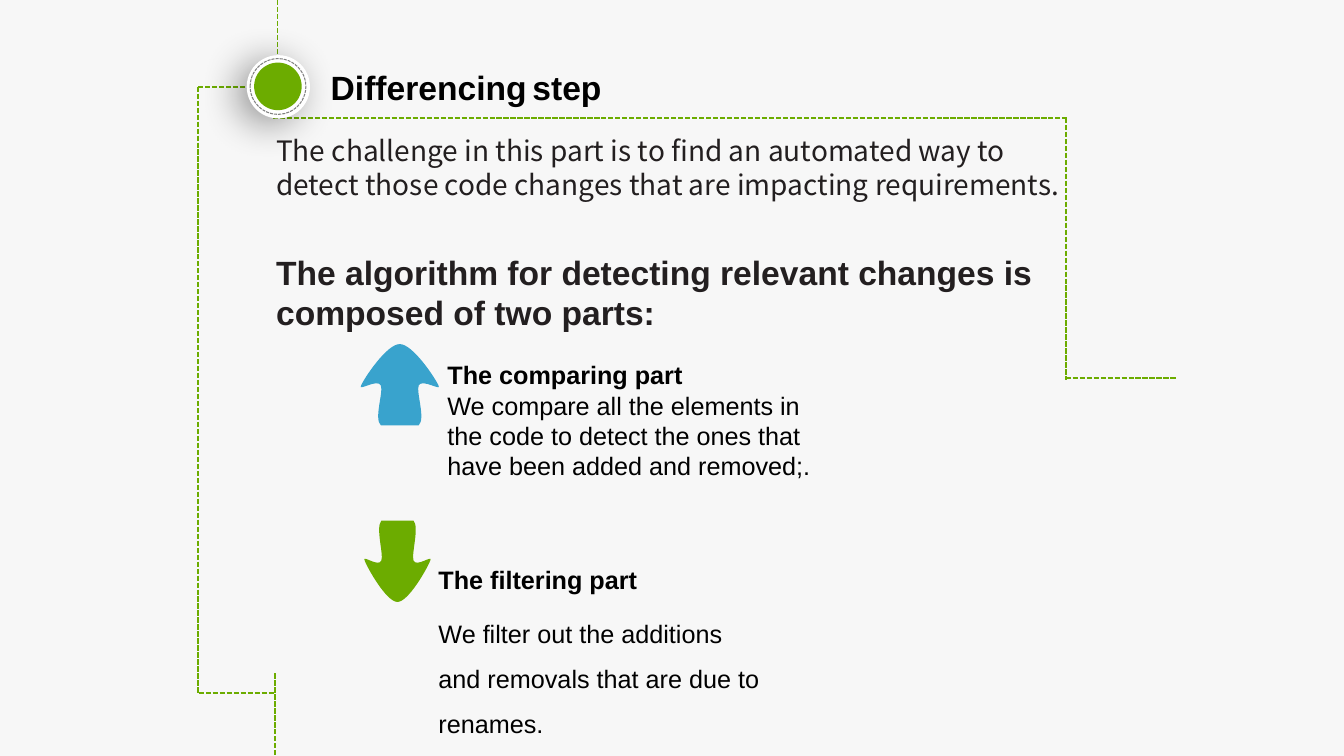
from lxml.etree import SubElement
from pptx import Presentation
from pptx.dml.color import RGBColor
from pptx.enum.dml import MSO_LINE
from pptx.enum.shapes import MSO_CONNECTOR, MSO_SHAPE
from pptx.enum.text import MSO_ANCHOR, MSO_AUTO_SIZE, PP_ALIGN
from pptx.oxml.ns import qn
from pptx.util import Pt

GREEN, BLUE, BLACK, INK = "6CAC00", "39A3CD", "000000", "231F20"

# Upward arrow, tip at (0, 0), half width and height 1: three points make
# a curve, one point a line.
TIP = (0, 0)
HALF = [((0.33, 0), (0.9, 0.42), (0.98, 0.51)),
        ((1.08, 0.59), (0.56, 0.42), (0.48, 0.51)),
        ((0.41, 0.59), (0.66, 0.92), (0.48, 1))]


def color(code):
    return RGBColor.from_string(code)


def write(frame, paras, size=18, font="Arial", ink=BLACK, bold=False,
          anchor=MSO_ANCHOR.TOP):
    """Fill a frame; each paragraph is (runs, spacing), a run (text, format)."""
    frame.word_wrap = True
    frame.auto_size = MSO_AUTO_SIZE.SHAPE_TO_FIT_TEXT
    frame.vertical_anchor = anchor
    frame.margin_left = frame.margin_right = Pt(3.6)
    frame.margin_top = frame.margin_bottom = Pt(3.6)
    for i, (runs, space) in enumerate(paras):
        para = frame.add_paragraph() if i else frame.paragraphs[0]
        para.alignment = PP_ALIGN.LEFT
        if space:
            para.line_spacing, para.space_before = space, Pt(6)
        for text, form in runs:
            run = para.add_run()
            run.text = text
            run.font.size = Pt(form.get("size", size))
            run.font.name = form.get("font", font)
            run.font.bold = form.get("bold", bold)
            run.font.color.rgb = color(form.get("ink", ink))


def place(shape, box):
    shape.left, shape.top, shape.width, shape.height = map(Pt, box)


def label(slide, box, paras, **form):
    text = slide.shapes.add_textbox(*map(Pt, box))
    write(text.text_frame, paras, **form)
    place(text, box)


def head(slide, box):
    title = slide.shapes.title
    place(title, box)
    gap = dict(size=18, font="Calibri", ink="FFFFFF", bold=False)
    runs = [("Differencing", {}), (" ", gap), ("step", {})]
    write(title.text_frame, [(runs, None)], size=24, bold=True,
          anchor=MSO_ANCHOR.MIDDLE)


def dash(line, ink, width):
    line.color.rgb = color(ink)
    line.width = Pt(width)
    line.dash_style = MSO_LINE.SQUARE_DOT


def trail(slide, *ends):
    for x1, y1, x2, y2 in ends:
        line = slide.shapes.add_connector(
            MSO_CONNECTOR.STRAIGHT, Pt(x1), Pt(y1), Pt(x2), Pt(y2))
        dash(line.line, GREEN, 1.25)
        SubElement(line._element.spPr, qn("a:effectLst"))


def disc(group, x, y, size, fill=None):
    shape = group.shapes.add_shape(
        MSO_SHAPE.OVAL, Pt(x), Pt(y), Pt(size), Pt(size))
    shape.shadow.inherit = False
    if fill:
        shape.fill.solid()
        shape.fill.fore_color.rgb = color(fill)
        shape.line.fill.background()
    else:
        shape.fill.background()
    return shape


def badge(slide, x, y):
    group = slide.shapes.add_group_shape()
    base = disc(group, x, y, 45.2, "FFFFFF")
    cast = SubElement(
        base._element.spPr.find(qn("a:effectLst")), qn("a:outerShdw"),
        blurRad=str(Pt(28)), dist=str(Pt(8)), dir=str(150 * 60000),
        algn="ctr", rotWithShape="0")
    tint = SubElement(cast, qn("a:srgbClr"), val=BLACK)
    SubElement(tint, qn("a:alpha"), val="40000")
    disc(group, x + 5.3, y + 5.3, 34, GREEN)
    dash(disc(group, x + 2.5, y + 2.5, 39.8).line, "808080", 0.75)


def mirror(curves):
    """The left half: the right half run backwards with x negated."""
    chain = [TIP] + [spot for curve in curves for spot in curve]
    back = [(-a, b) for a, b in reversed(chain)]
    return [back[:1]] + [back[i:i + 3] for i in range(1, len(back), 3)]


def curve(shape, steps):
    """Turn the straight steps of an outline that have handles into curves."""
    sides = list(shape._element.spPr.iter(qn("a:lnTo")))
    for side, spots in zip(sides, steps):
        if len(spots) == 3:
            arc = side.getparent().makeelement(qn("a:cubicBezTo"))
            for x, y in spots:
                SubElement(arc, qn("a:pt"), x=str(x - shape.left),
                           y=str(y - shape.top))
            side.getparent().replace(side, arc)


def arrow(slide, box, fill, down=False):
    x, y, w, h = box

    def spot(a, b):
        return Pt(x + w / 2 * (1 + a)), Pt(y + h * (1 - b if down else b))

    steps = [[spot(*p) for p in step] for step in HALF + mirror(HALF)]
    outline = slide.shapes.build_freeform(*spot(*TIP))
    outline.add_line_segments([step[-1] for step in steps], close=True)
    shape = outline.convert_to_shape()
    curve(shape, steps)
    shape.shadow.inherit = False
    shape.fill.solid()
    shape.fill.fore_color.rgb = color(fill)
    shape.line.fill.background()


def part(slide, box, name, text, space=None):
    label(slide, box, [([(name, {"bold": True})], 1.5), ([(text, {})], space)])


def main():
    deck = Presentation()
    deck.slide_width, deck.slide_height = Pt(960), Pt(540)
    slide = deck.slides.add_slide(deck.slide_layouts[5])
    slide.background.fill.solid()
    slide.background.fill.fore_color.rgb = color("F7F7F7")

    trail(slide, (195, 84.2, 762.5, 84.2), (761.2, 84.2, 761.2, 271.4),
          (761.2, 270, 840.6, 270))
    head(slide, (232.6, 44.6, 388, 34.6))
    part(slide, (316, 242.6, 277.2, 106.6), "The comparing part",
         "We compare all the elements in the code to detect the ones that "
         "have been added and removed;.")
    part(slide, (309.6, 388.6, 242, 127.4), "The filtering part",
         "We filter out the additions and removals that are due to renames.",
         1.5)
    arrow(slide, (260, 372, 47.8, 58), GREEN, down=True)
    arrow(slide, (257.4, 245.8, 56.4, 58), BLUE)
    label(slide, (193.7, 91.9, 568.8, 85),
          [([("The challenge in this part is to find an automated way to "
              "detect those code changes that are impacting requirements.",
              {})], None)], size=20, font="Noto Sans CJK SC", ink=INK)
    label(slide, (193.7, 176.4, 568.8, 65.5),
          [([("The algorithm for detecting relevant changes is composed of "
              "two parts:", {})], None)], size=24, ink=INK, bold=True)
    trail(slide, (141.6, 61.9, 201.6, 61.9), (198.2, 0, 198.2, 59.8))
    badge(slide, 176.2, 39.4)
    trail(slide, (141.6, 61.9, 141.6, 495), (142, 495, 196.6, 495),
          (196.6, 481, 196.6, 540))
    deck.save("out.pptx")


if __name__ == "__main__":
    main()
